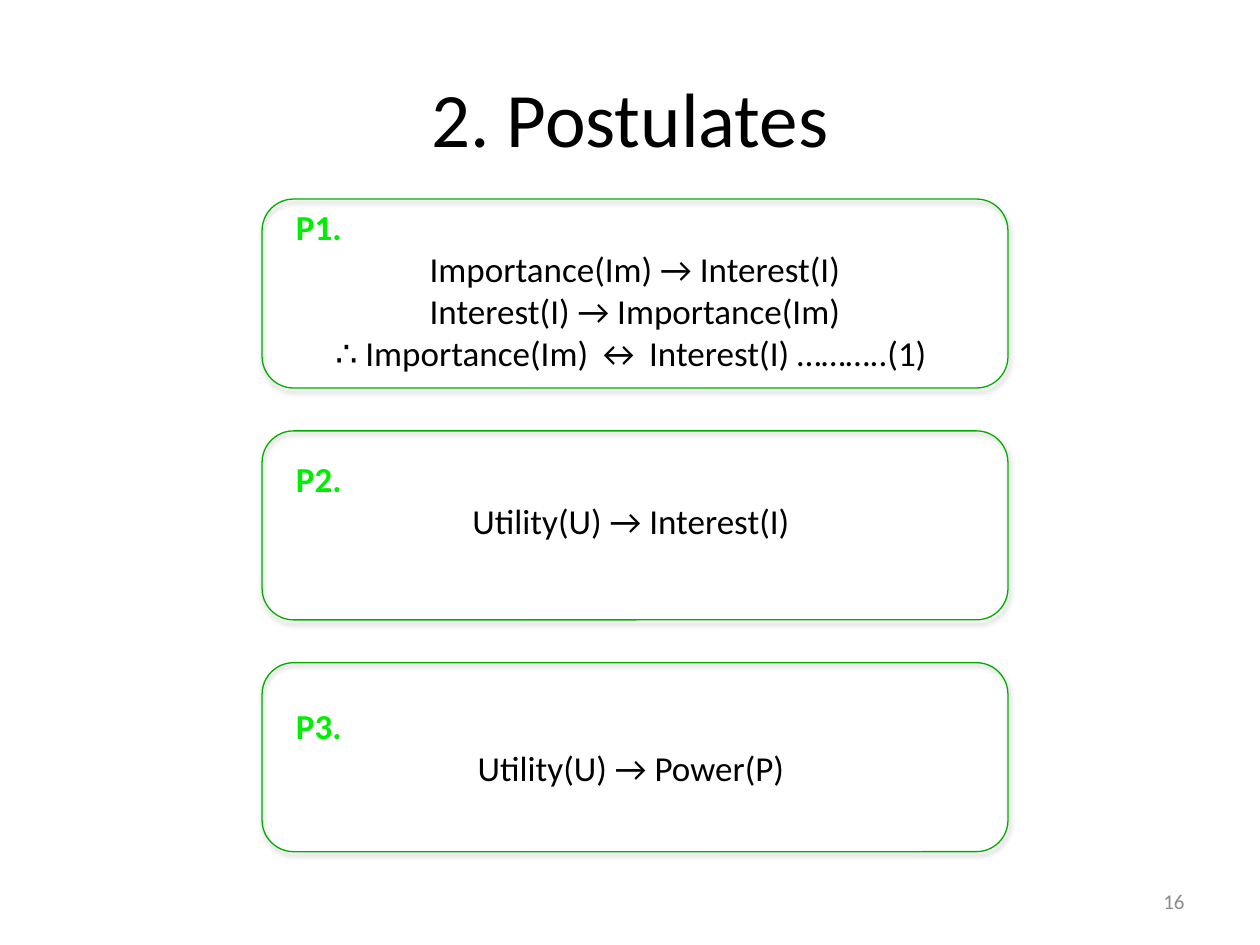
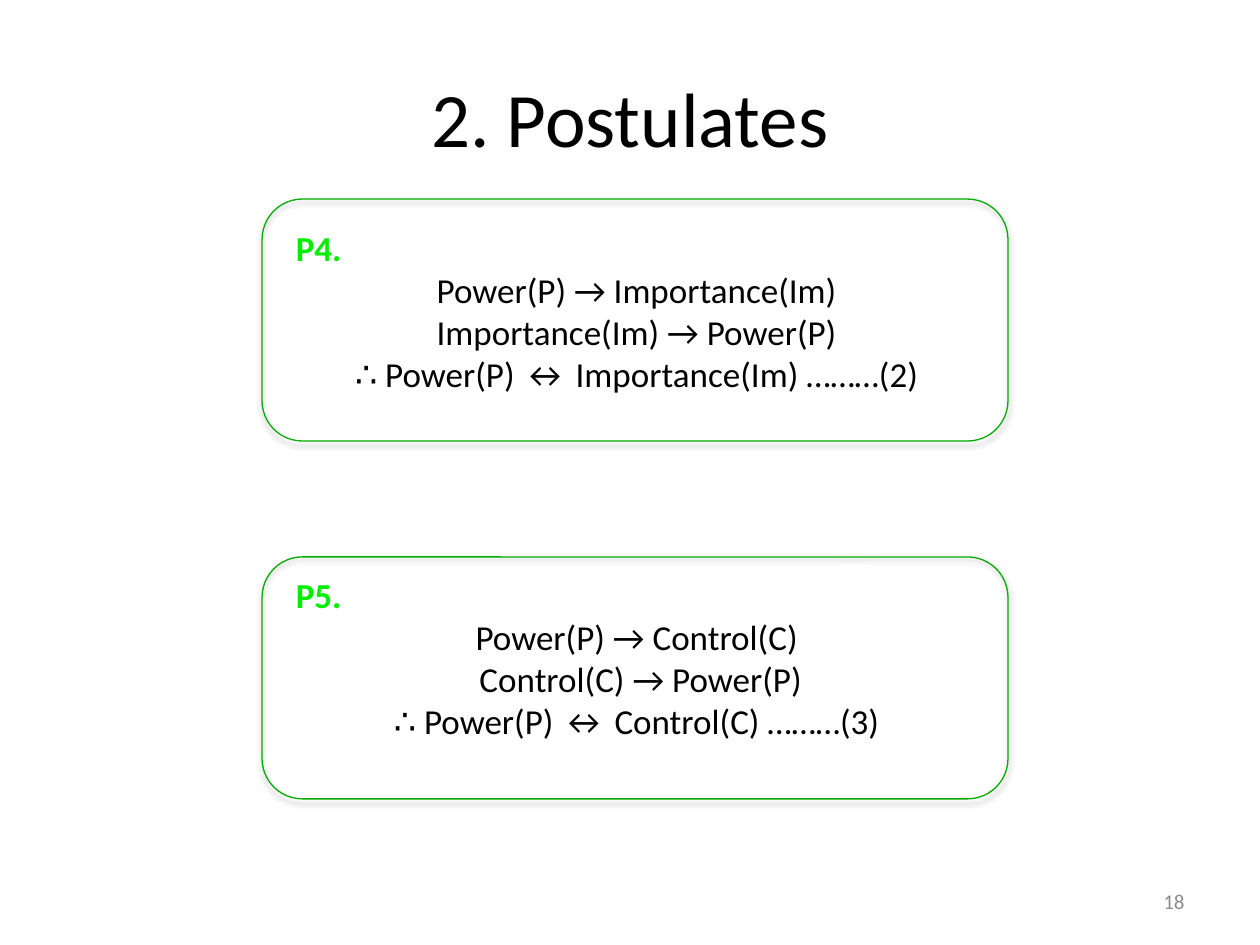
from lxml.etree import SubElement
from pptx import Presentation
from pptx.dml.color import RGBColor
from pptx.enum.shapes import MSO_SHAPE as Shape
from pptx.enum.text import MSO_ANCHOR as Anchor, MSO_AUTO_SIZE as AutoSize, PP_ALIGN as Align
from pptx.oxml.ns import qn
from pptx.util import Inches, Pt

BLACK = RGBColor(0x00, 0x00, 0x00)
GREY = RGBColor(0x8C, 0x8C, 0x8C)
LABEL_GREEN = RGBColor(0x00, 0xEE, 0x00)
FRAME_GREEN = RGBColor(0x02, 0xAD, 0x00)

FONT = "Calibri"
TITLE = {"size": Pt(44), "bold": False, "color": BLACK}
LABEL = {"size": Pt(20), "bold": True, "color": LABEL_GREEN}
FORMULA = {"size": Pt(20), "bold": False, "color": BLACK}
NUMBER = {"size": Pt(12), "bold": False, "color": GREY}

FRAME_LEFT, FRAME_WIDTH, TEXT_LEFT, FIRST_TOP = 2.08, 5.92, 2.25, 1.58

# Each page: number, frame height, frame pitch, text width, postulates.
# Each postulate: text top, text height, label, formulas.
PAGES = [
    ("16", 1.5, 1.84, 5.58, [
        (1.58, 1.45, "P1.", ["Importance(Im) → Interest(I)\vInterest(I) → Importance(Im)",
                             "∴ Importance(Im) ↔ Interest(I) ………..(1) "]),
        (3.58, 0.77, "P2.", ["Utility(U) → Interest(I) "]),
        (5.54, 1.11, "P3.", ["Utility(U) → Power(P) "]),
    ]),
    ("18", 1.92, 2.84, 5.67, [
        (1.75, 1.78, "P4.", ["Power(P) → Importance(Im) ", "Importance(Im) → Power(P) ",
                             "∴ Power(P) ↔ Importance(Im) ………(2) "]),
        (4.5, 1.78, "P5.", ["Power(P) → Control(C) ", "Control(C) → Power(P)",
                            "∴ Power(P) ↔ Control(C) ………(3) "]),
    ]),
]


class PostulateDeck:
    def __init__(self):
        self.deck = Presentation()
        self.deck.slide_width, self.deck.slide_height = Inches(10), Inches(7.5)
        self.page = None

    def fill_para(self, para, text, style, align):
        para.text, para.alignment = text, align
        for span in para.runs:
            span.font.name = FONT
            for name, value in style.items():
                if name == "color":
                    span.font.color.rgb = value
                else:
                    setattr(span.font, name, value)

    def add_page(self, title):
        self.page = self.deck.slides.add_slide(self.deck.slide_layouts[5])
        box = self.page.shapes.title
        places = {"left": 0.5, "top": 0.3, "width": 9, "height": 1.25}
        for name, value in places.items():
            setattr(box, name, Inches(value))
        box.text_frame.vertical_anchor = Anchor.MIDDLE
        self.fill_para(box.text_frame.paragraphs[0], title, TITLE, Align.CENTER)

    def add_frame(self, top, height):
        frame = self.page.shapes.add_shape(
            Shape.ROUNDED_RECTANGLE, Inches(FRAME_LEFT), Inches(top),
            Inches(FRAME_WIDTH), Inches(height))
        frame.fill.background()
        frame.line.color.rgb = FRAME_GREEN
        frame.line.width = Pt(0.75)
        # Soft shadow straight below
        frame.shadow.inherit = False
        effects = frame._element.spPr.find(qn("a:effectLst"))
        shadow = SubElement(effects, qn("a:outerShdw"), blurRad=str(Pt(3.1)),
                            dist=str(Pt(1.8)), dir="5400000", rotWithShape="0")
        color = SubElement(shadow, qn("a:srgbClr"), val=str(BLACK))
        SubElement(color, qn("a:alpha"), val="35000")

    def add_text(self, left, top, width, height, lines, anchor=Anchor.TOP, fit=AutoSize.NONE):
        box = self.page.shapes.add_textbox(
            Inches(left), Inches(top), Inches(width), Inches(height))
        body = box.text_frame
        body.word_wrap, body.vertical_anchor, body.auto_size = True, anchor, fit
        for index, line in enumerate(lines):
            para = body.add_paragraph() if index else body.paragraphs[0]
            self.fill_para(para, *line)

    def add_postulate(self, top, width, height, label, formulas):
        lines = [(label, LABEL, Align.LEFT)]
        lines += [(formula, FORMULA, Align.CENTER) for formula in formulas]
        self.add_text(TEXT_LEFT, top, width, height, lines, fit=AutoSize.SHAPE_TO_FIT_TEXT)

    def add_number(self, number):
        self.add_text(7.17, 6.95, 2.33, 0.4, [(number, NUMBER, Align.RIGHT)], Anchor.MIDDLE)


def main():
    slides = PostulateDeck()
    for number, frame_height, pitch, text_width, postulates in PAGES:
        slides.add_page("2. Postulates")
        for index, (top, height, label, formulas) in enumerate(postulates):
            slides.add_frame(FIRST_TOP + index * pitch, frame_height)
            slides.add_postulate(top, text_width, height, label, formulas)
        slides.add_number(number)
    slides.deck.save("out.pptx")


if __name__ == "__main__":
    main()
